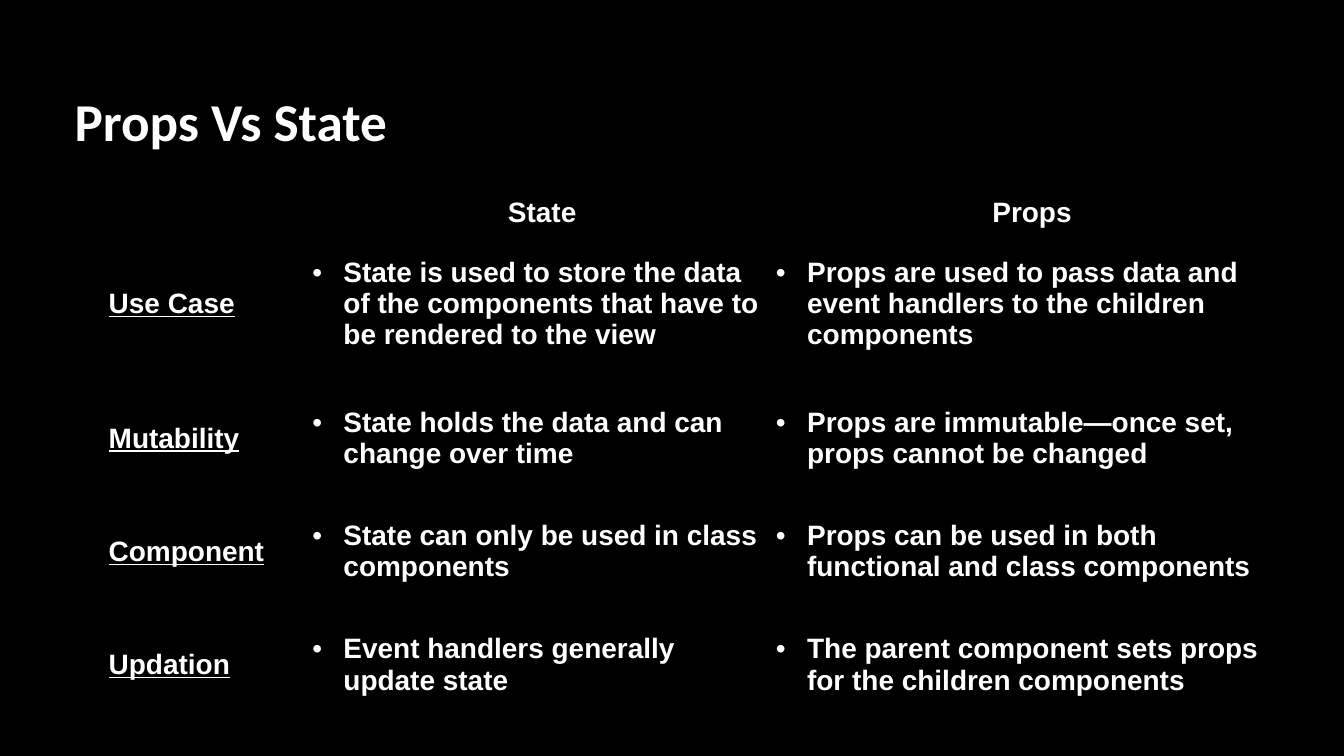
from lxml import etree
from pptx import Presentation, util as u
from pptx.dml.color import RGBColor
from pptx.enum import text
from pptx.oxml.ns import qn

COLORS = {"background": "000000", "text": "FFFFFF"}
NO_STYLE_NO_GRID = "{2D5ABB26-0587-4C30-8999-92F81FD0307C}"
BULLET_INDENT = u.Cm(1.57)
COLUMN_WIDTHS = (10.26, 23.37, 26.01)
ROW_HEIGHTS = (1.98, 7.34, 6.25, 5.16, 6.25)

COMPARISON = [
    ("", "State", "Props"),
    ("Use Case",
     "State is used to store the data of the components that have to be rendered to the view",
     "Props are used to pass data and event handlers to the children components"),
    ("Mutability",
     "State holds the data and can change over time",
     "Props are immutable—once set, props cannot be changed"),
    ("Component",
     "State can only be used in class components",
     "Props can be used in both functional and class components"),
    ("Updation",
     "Event handlers generally update state",
     "The parent component sets props for the children components"),
]


def write(frame, words, size=40, font="Arial", align=text.PP_ALIGN.LEFT,
          underline=False, bullet=False):
    paragraph = frame.paragraphs[0]
    paragraph.alignment = align
    if bullet:
        properties = paragraph._p.get_or_add_pPr()
        properties.set("marL", str(BULLET_INDENT))
        properties.set("indent", str(-BULLET_INDENT))
        etree.SubElement(properties, qn("a:buFont")).set("typeface", "Arial")
        etree.SubElement(properties, qn("a:buChar")).set("char", "•")
    run = paragraph.add_run()
    run.text = words
    run.font.size = u.Pt(size)
    run.font.name = font
    run.font.bold = True
    run.font.underline = underline
    run.font.color.rgb = RGBColor.from_string(COLORS["text"])


def add_title(slide, left, top, width, height):
    frame = slide.shapes.add_textbox(left, top, width, height).text_frame
    frame.word_wrap = True
    frame.vertical_anchor = text.MSO_ANCHOR.MIDDLE
    frame.margin_left = frame.margin_right = u.Cm(0.2)
    frame.margin_top = frame.margin_bottom = u.Cm(0.2)
    write(frame, "Props Vs State", size=76, font="Calibri")


def add_comparison(slide, left, top):
    table = slide.shapes.add_table(
        len(ROW_HEIGHTS), len(COLUMN_WIDTHS), left, top,
        u.Cm(sum(COLUMN_WIDTHS)), u.Cm(sum(ROW_HEIGHTS))).table
    table.first_row = table.horz_banding = False
    table._tbl.tblPr.find(qn("a:tableStyleId")).text = NO_STYLE_NO_GRID
    for column, width in zip(table.columns, COLUMN_WIDTHS):
        column.width = u.Cm(width)
    for row, height in zip(table.rows, ROW_HEIGHTS):
        row.height = u.Cm(height)

    for r, entries in enumerate(COMPARISON):
        for c, words in enumerate(entries):
            cell = table.cell(r, c)
            header = r == 0
            cell.fill.background()
            cell.margin_left = cell.margin_right = u.Cm(0.1)
            cell.margin_top = cell.margin_bottom = u.Cm(0.13)
            cell.vertical_anchor = text.MSO_ANCHOR.BOTTOM if header else text.MSO_ANCHOR.MIDDLE
            if words:
                write(cell.text_frame, words,
                      align=text.PP_ALIGN.CENTER if header else text.PP_ALIGN.LEFT,
                      underline=not header and c == 0,
                      bullet=not header and c > 0)


def main():
    deck = Presentation()
    deck.slide_width, deck.slide_height = u.Cm(67.74), u.Cm(38.1)
    slide = deck.slides.add_slide(deck.slide_layouts[6])
    slide.background.fill.solid()
    slide.background.fill.fore_color.rgb = RGBColor.from_string(COLORS["background"])
    add_title(slide, u.Cm(3.56), u.Cm(3.94), u.Cm(39.98), u.Cm(4.22))
    add_comparison(slide, u.Cm(5.38), u.Cm(9.65))
    deck.save("out.pptx")


if __name__ == "__main__":
    main()
